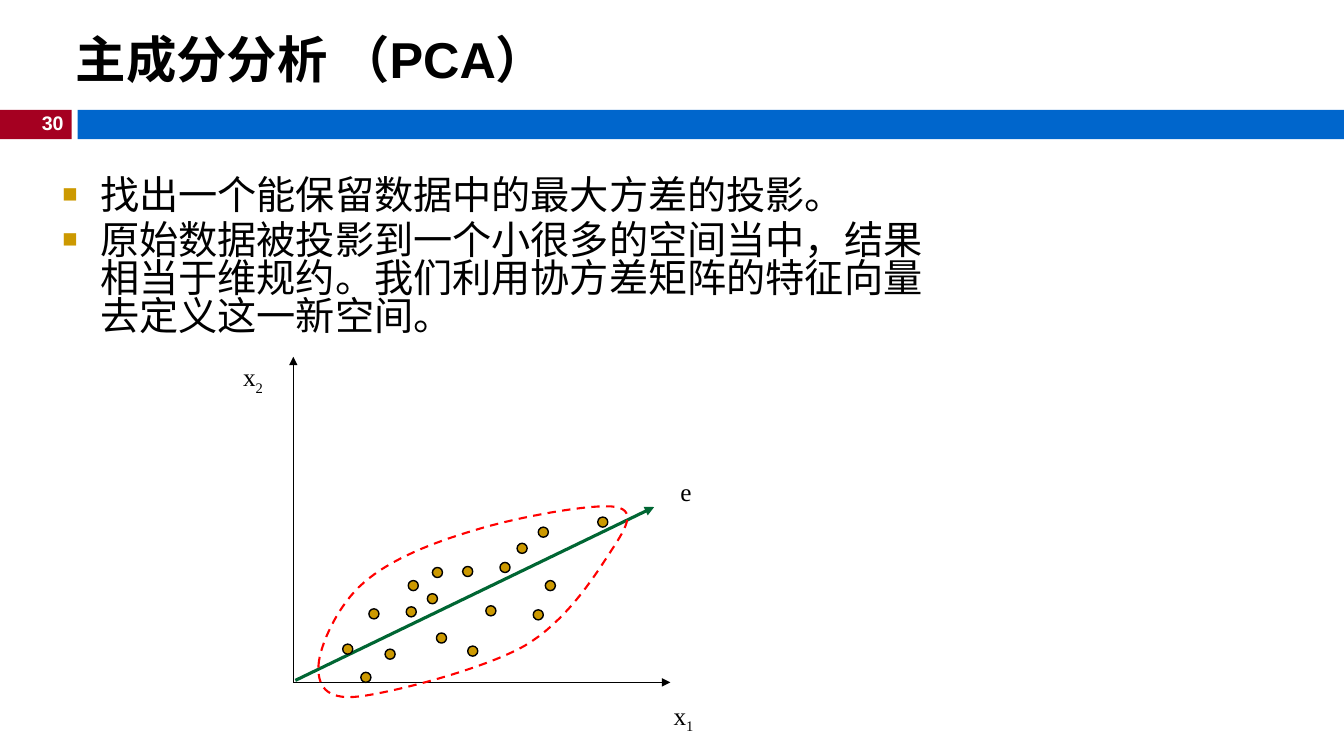
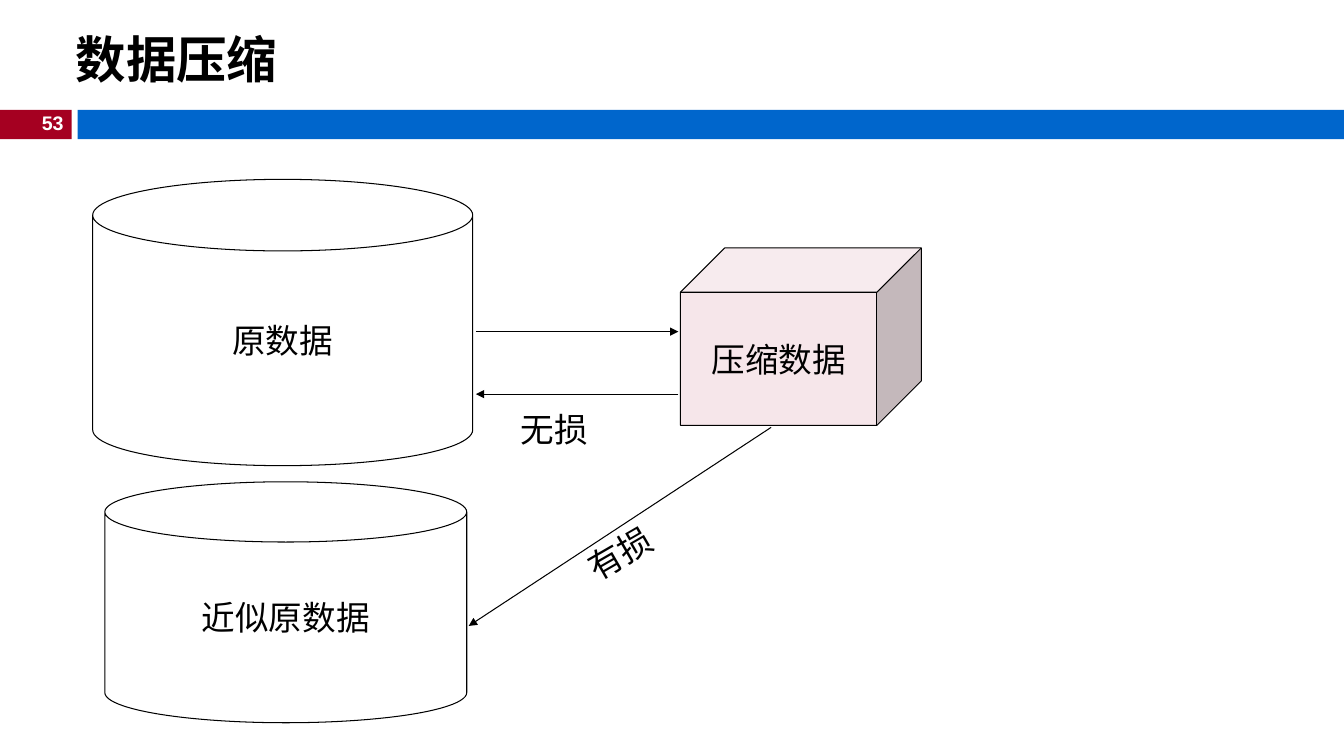
import pptx
import pptx.util
import pptx.dml.color
import pptx.enum.dml
import pptx.enum.shapes
import pptx.enum.text
import pptx.oxml
import pptx.oxml.ns

Pt = pptx.util.Pt
RGB = pptx.dml.color.RGBColor.from_string
SHAPE = pptx.enum.shapes.MSO_SHAPE
ALIGN = pptx.enum.text.PP_ALIGN
ANCHOR = pptx.enum.text.MSO_ANCHOR
NS = pptx.oxml.ns.nsdecls("a")

COLORS = {
    "ink": "000000", "paper": "FFFFFF", "red": "A50021", "blue": "0066CC",
    "gold": "CC9900", "green": "006633", "outline": "FF0000", "pink": "F6E6EA",
}
COLS, ROWS = 133.33, 75
TITLE = {"name": "Arial", "size": Pt(36), "bold": True}
NUMBER = {"name": "Arial", "size": Pt(14), "bold": True}
BODY = {"name": "Arial", "size": Pt(28), "bold": False}
AXIS = {"name": "Times New Roman", "size": Pt(18), "bold": False}
LABEL = {"name": "Times New Roman", "size": Pt(24), "bold": False}

prs = pptx.Presentation()
prs.slide_width = pptx.util.Inches(13.33)
prs.slide_height = pptx.util.Inches(7.5)
col = prs.slide_width / COLS
row = prs.slide_height / ROWS


def write(sp, text, font, color="ink", align=ALIGN.LEFT, anchor=ANCHOR.TOP, wrap=False, sub=""):
    tf = sp.text_frame
    frame = {"word_wrap": wrap, "auto_size": pptx.enum.text.MSO_AUTO_SIZE.NONE, "vertical_anchor": anchor}
    for key, value in frame.items():
        setattr(tf, key, value)
    for i, line in enumerate(text.split("\n")):
        p = tf.paragraphs[0] if i == 0 else tf.add_paragraph()
        p.alignment = align
        for part in filter(None, (line, sub)):
            r = p.add_run()
            r.text = part
            for key, value in font.items():
                setattr(r.font, key, value)
            r.font.color.rgb = RGB(COLORS[color])
        if sub:
            r._r.get_or_add_rPr().set("baseline", "-25000")


def add(slide, kind, x, y, w, h, fill=None, line=None, width=0.75):
    box = [int(v) for v in (x * col, y * row, w * col, h * row)]
    if kind == "text":
        return slide.shapes.add_textbox(*box)
    if kind == "arrow":
        straight = pptx.enum.shapes.MSO_CONNECTOR.STRAIGHT
        sp = slide.shapes.add_connector(straight, *box[:2], int(w * col), int(h * row))
    else:
        sp = slide.shapes.add_shape(kind, *box)
        sp.shadow.inherit = False
        sp.fill.solid()
        sp.fill.fore_color.rgb = RGB(COLORS[fill])
    if line:
        sp.line.color.rgb = RGB(COLORS[line])
        sp.line.width = Pt(width)
    else:
        sp.line.fill.background()
    if kind == "arrow":
        sp.line._get_or_add_ln().append(pptx.oxml.parse_xml(f'<a:tailEnd {NS} type="triangle"/>'))
        sp._element.spPr.append(pptx.oxml.parse_xml(f"<a:effectLst {NS}/>"))
    return sp


slides = []
for title, number in (("主成分分析 （PCA）", "30"), ("数据压缩", "53")):
    slide = prs.slides.add_slide(prs.slide_layouts[5])
    add(slide, SHAPE.RECTANGLE, 0, 10.9, 7.1, 2.9, "red")
    add(slide, SHAPE.RECTANGLE, 7.7, 10.9, COLS - 7.7, 2.9, "blue")
    write(add(slide, "text", 2.9, 10.5, 4.4, 3.4), number, NUMBER, "paper", ALIGN.RIGHT)
    sp = slide.shapes.title
    place = {"left": 6.5 * col, "top": 1.1 * row, "width": 95.4 * col, "height": 9.4 * row}
    for key, value in place.items():
        setattr(sp, key, int(value))
    write(sp, title, TITLE, anchor=ANCHOR.MIDDLE, wrap=True)
    slides.append(slide)
pca, compression = slides

sp = add(pca, "text", 5.2, 17.3, 90, 17.6)
write(sp, "找出一个能保留数据中的最大方差的投影。\n"
          "原始数据被投影到一个小很多的空间当中，结果相当于维规约。我们利用协方差矩阵的特征向量去定义这一新空间。",
      BODY, wrap=True)
for p in sp.text_frame.paragraphs:
    p.line_spacing = 0.8
    p.space_before = Pt(5.6)
    pPr = p._p.get_or_add_pPr()
    indent = int(3.75 * col)
    pPr.set("marL", str(indent))
    pPr.set("indent", str(-indent))
    for xml in (f'<a:buClr {NS}><a:srgbClr val="{COLORS["gold"]}"/></a:buClr>',
                f'<a:buSzPct {NS} val="65000"/>',
                f'<a:buFont {NS} typeface="Arial"/>',
                f'<a:buChar {NS} char="■"/>'):
        pPr.append(pptx.oxml.parse_xml(xml))

for x1, y1, x2, y2, color, width in (
    (29.1, 67.7, 29.1, 35.4, "ink", 1),
    (29.1, 67.7, 66.5, 67.7, "ink", 1),
    (29.3, 67.5, 64.9, 50.3, "green", 2.25),
):
    add(pca, "arrow", x1, y1, x2, y2, line=color, width=width)

for x, y in (
    (36.6, 60.4), (40.5, 57.6), (34, 63.9), (42.4, 58.9), (40.3, 60.2), (48.2, 60.1),
    (46.4, 64.1), (43.3, 62.8), (45.9, 56.2), (54.1, 57.6), (59.3, 51.3), (38.2, 64.4),
    (49.6, 55.8), (53.4, 52.3), (42.9, 56.3), (51.3, 53.9), (52.9, 60.5), (35.8, 66.7),
):
    add(pca, SHAPE.OVAL, x, y, 1, 1, "gold", "ink", 1)

start = (31.6, 66)
curves = (
    ((31.7, 64.1), (33.5, 60), (36.1, 57.8)),
    ((38.7, 55.5), (43, 53.8), (47.1, 52.6)),
    ((51.3, 51.3), (58.9, 49.9), (61.1, 50.3)),
    ((63.3, 50.7), (61.9, 52.7), (60.4, 55)),
    ((58.9, 57.3), (56.1, 61.7), (52, 64.1)),
    ((47.9, 66.4), (39, 68.7), (35.6, 69.1)),
    ((32.2, 69.5), (31.5, 67.9), start),
)
steps = 16
points = []
a = start
for b, c, d in curves:
    for t in (i / steps for i in range(1, steps + 1)):
        weights = ((1 - t) ** 3, 3 * t * (1 - t) ** 2, 3 * t ** 2 * (1 - t), t ** 3)
        x, y = (sum(k * v for k, v in zip(weights, axis)) for axis in zip(a, b, c, d))
        points.append((int(x * col), int(y * row)))
    a = d
builder = pca.shapes.build_freeform(int(start[0] * col), int(start[1] * row))
builder.add_line_segments(points, close=True)
sp = builder.convert_to_shape()
sp.shadow.inherit = False
sp.fill.background()
sp.line.color.rgb = RGB(COLORS["outline"])
sp.line.width = Pt(1.5)
sp.line.dash_style = pptx.enum.dml.MSO_LINE.DASH

for x, y, w, text, sub in ((22.7, 35.1, 4.8, "x", "2"), (65.4, 68.7, 4.8, "x", "1"), (66.3, 46.3, 3.5, "e", "")):
    write(add(pca, "text", x, y, w, 5), text, AXIS, align=ALIGN.CENTER, anchor=ANCHOR.MIDDLE, sub=sub)

for kind, x, y, w, h, fill, text in (
    (SHAPE.CAN, 9.2, 17.8, 37.7, 28.4, "paper", "原数据"),
    (SHAPE.CUBE, 67.5, 24.6, 23.9, 17.6, "pink", "压缩数据"),
    (SHAPE.CAN, 10.4, 47.8, 35.9, 23.9, "paper", "近似原数据"),
):
    sp = add(compression, kind, x, y, w, h, fill, "ink")
    sp.adjustments[0] = 0.25
    write(sp, text, LABEL, align=ALIGN.CENTER, anchor=ANCHOR.MIDDLE)

for ends in ((47.2, 32.9, 67.3, 32.9), (67.3, 39.1, 47.2, 39.1), (76.5, 42.4, 46.5, 62.1)):
    add(compression, "arrow", *ends, line="ink")

for x, y, angle, text in ((50.7, 40.1, 0, "无损"), (57.2, 52.3, 330, "有损")):
    sp = add(compression, "text", x, y, 8.8, 5)
    sp.rotation = angle
    write(sp, text, LABEL)

prs.save("out.pptx")
